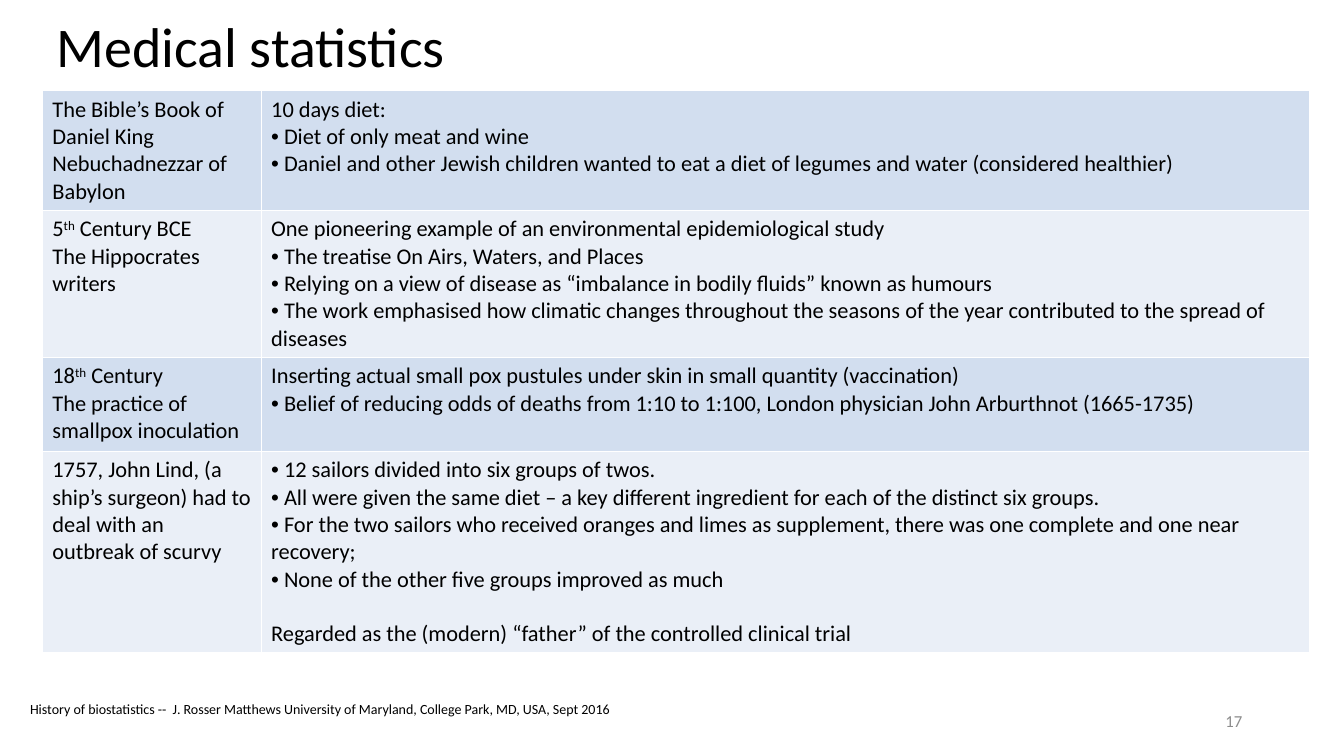
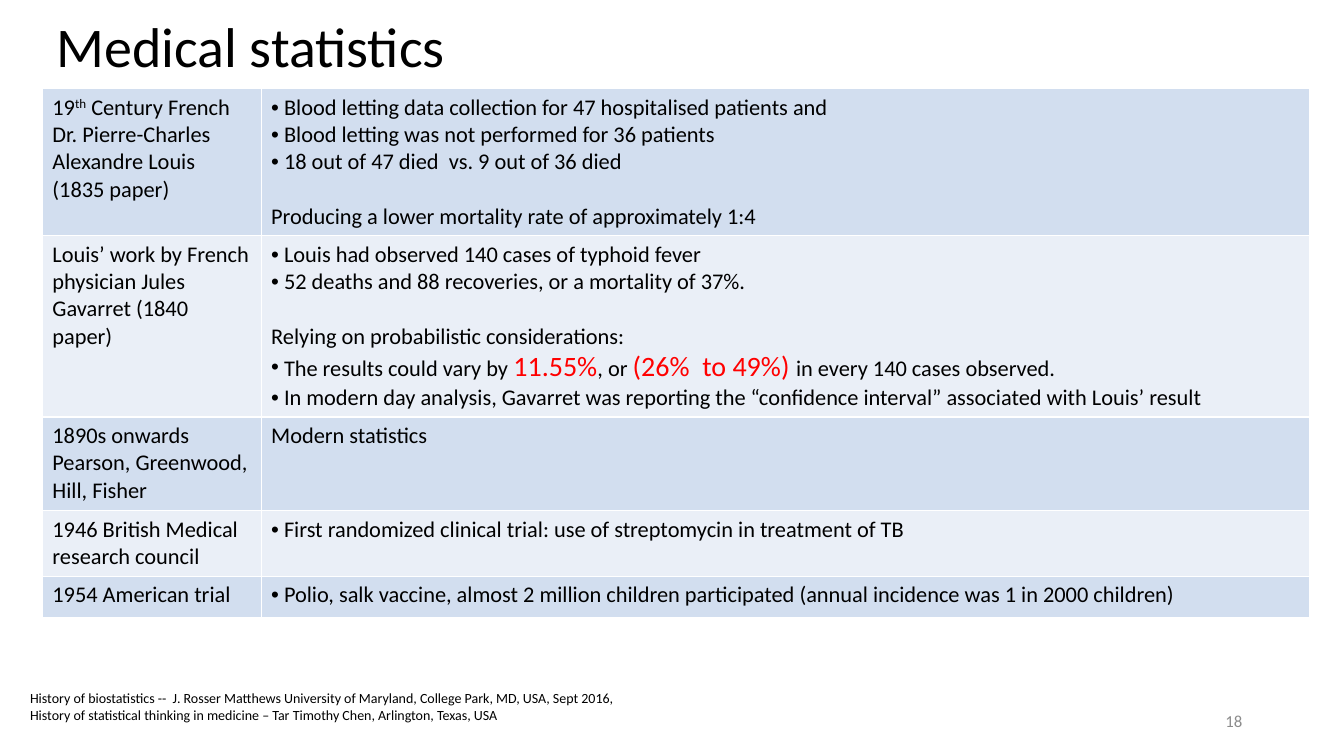
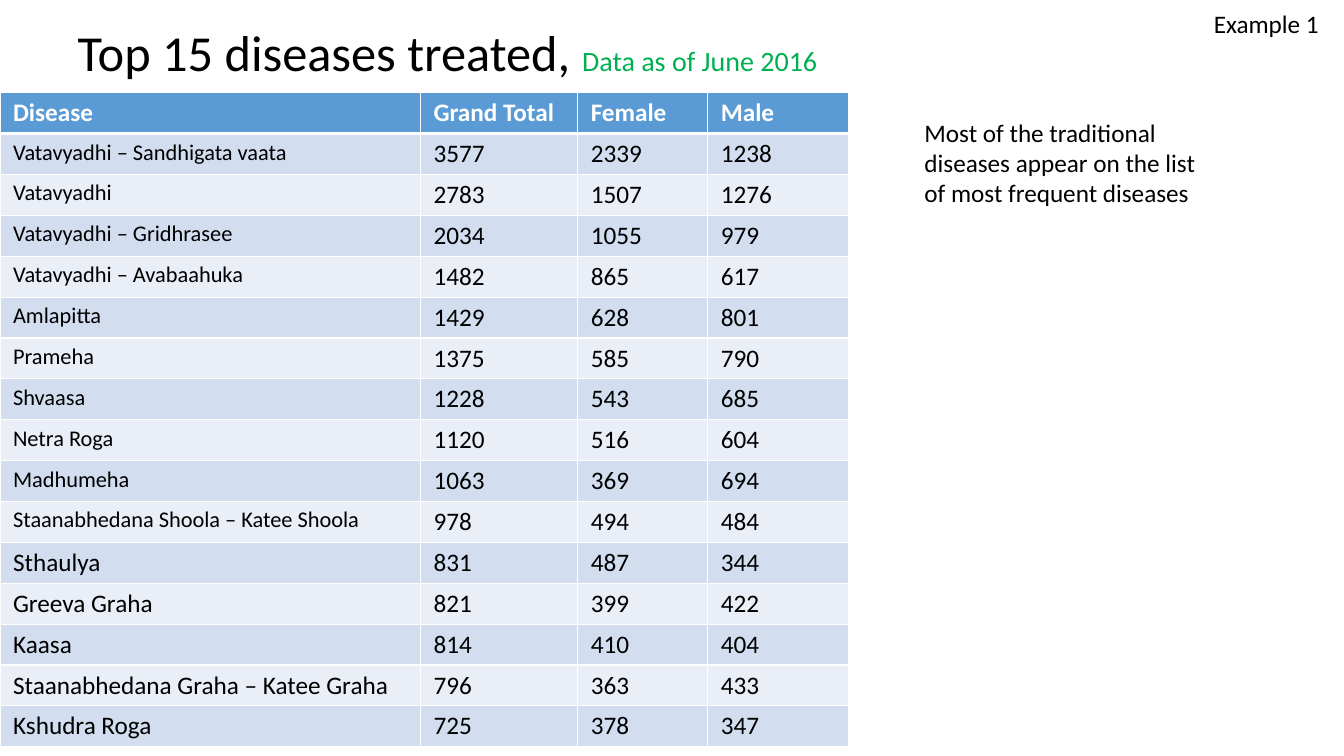
"""Build three slides on the history of medical statistics."""
from dataclasses import dataclass
from lxml.etree import SubElement
from pptx import Presentation
from pptx.dml.color import RGBColor
from pptx.enum.text import MSO_ANCHOR, MSO_AUTO_SIZE, PP_ALIGN
from pptx.oxml.ns import qn
from pptx.util import Emu, Pt


@dataclass(frozen=True)
class Theme:
    """Hold the colours, type sizes and font."""
    font: str = "Calibri"
    ink: str = "000000"
    white: str = "FFFFFF"
    head: str = "5B9BD5"
    bands: tuple = ("D2DEEF", "EAEFF7")
    gray: str = "8C8C8C"
    red: str = "FF0000"
    green: str = "00B050"
    title: int = 40
    data: int = 36
    large: int = 20
    body: int = 18
    cell: int = 16
    num: int = 12
    note: int = 10
    gap: float = 19.5
    thin: int = 1
    thick: int = 3


@dataclass(frozen=True)
class Bit:
    """Hold one run of text and what sets it apart."""
    text: str
    size: int = 0
    color: str = ""
    bold: bool = False
    sup: bool = False


@dataclass(frozen=True)
class Par:
    """Hold one paragraph as runs, with a bullet or a gap above."""
    bits: tuple
    dot: bool = False
    gap: bool = False


LOOK = Theme()
SCALE = 9144
TH = Bit("th", sup=True)
SOURCE = ("History of biostatistics --  J. Rosser Matthews University of Maryland, "
          "College Park, MD, USA, Sept 2016")


def px(count):
    """Turn pixels into EMU."""
    return Emu(count * SCALE)


def line(*bits):
    """Make a plain paragraph."""
    return Par(bits)


def dot(*bits):
    """Make a bullet paragraph."""
    return Par((" ",) + bits[:0] + (bits[0],) + bits[1:], dot=True) if isinstance(
        bits[0], Bit) else Par((" " + bits[0],) + bits[1:], dot=True)


def after(text):
    """Make a paragraph that stands one line below the last."""
    return Par((text,), gap=True)


def write(frame, pars, size, color=LOOK.ink, align=PP_ALIGN.LEFT):
    """Fill a text frame run by run."""
    for index, par in enumerate(pars):
        para = frame.paragraphs[0] if index == 0 else frame.add_paragraph()
        para.alignment = align
        if par.gap:
            para.space_before = Pt(LOOK.gap)
        if par.dot:
            props = para._p.get_or_add_pPr()
            props.set("marL", "0")
            props.set("indent", "0")
            SubElement(props, qn("a:buFont"), typeface="Arial")
            SubElement(props, qn("a:buChar"), char="•")
        for bit in par.bits:
            bit = Bit(bit) if isinstance(bit, str) else bit
            run = para.add_run()
            run.text = bit.text
            font = run.font
            font.name = LOOK.font
            font.size = Pt(bit.size or size)
            font.bold = bit.bold
            font.color.rgb = RGBColor.from_string(bit.color or color)
            if bit.sup:
                run._r.get_or_add_rPr().set("baseline", "30000")


def start(deck, par, box, size):
    """Add a slide with its title."""
    slide = deck.slides.add_slide(deck.slide_layouts[5])
    shape = slide.shapes.title
    shape.left, shape.top, shape.width, shape.height = map(px, box)
    frame = shape.text_frame
    frame.auto_size = MSO_AUTO_SIZE.NONE
    frame.vertical_anchor = MSO_ANCHOR.MIDDLE
    write(frame, [par], size)
    frame.paragraphs[0].line_spacing = 0.9
    return slide


def label(slide, pars, box, size):
    """Add a text box that fits its text."""
    frame = slide.shapes.add_textbox(*map(px, box)).text_frame
    frame.word_wrap = True
    frame.auto_size = MSO_AUTO_SIZE.SHAPE_TO_FIT_TEXT
    write(frame, pars, size)


def number(slide, text):
    """Add the page number."""
    frame = slide.shapes.add_textbox(*map(px, (942, 695, 300, 40))).text_frame
    frame.word_wrap = True
    frame.vertical_anchor = MSO_ANCHOR.MIDDLE
    write(frame, [line(text)], LOOK.num, LOOK.gray, PP_ALIGN.RIGHT)


def edge(cell, top, base):
    """Draw the white borders of a cell."""
    props = cell._tc.get_or_add_tcPr()
    sides = {"L": LOOK.thin, "R": LOOK.thin, "T": top, "B": base}
    for side, width in sides.items():
        rule = SubElement(props, qn(f"a:ln{side}"), w=str(Pt(width)))
        fill = SubElement(rule, qn("a:solidFill"))
        SubElement(fill, qn("a:srgbClr"), val=LOOK.white)


def grid(slide, rows, box, cols, size, high=(), inset=10, head=False):
    """Add a banded table, with a header row if asked."""
    table = slide.shapes.add_table(len(rows), len(cols), *map(px, box)).table
    table.first_row = head
    table.horz_banding = False
    for col, width in zip(table.columns, cols):
        col.width = px(width)
    for row, height in zip(table.rows, high):
        row.height = px(height)
    for index, row in enumerate(rows):
        crown = head and index == 0
        fill = LOOK.head if crown else LOOK.bands[(index - head) % 2]
        top = LOOK.thick if head and index == 1 else LOOK.thin
        base = LOOK.thick if crown else LOOK.thin
        for spot, pars in enumerate(row):
            cell = table.cell(index, spot)
            cell.margin_left = cell.margin_right = px(inset)
            edge(cell, top, base)
            cell.fill.solid()
            cell.fill.fore_color.rgb = RGBColor.from_string(fill)
            write(cell.text_frame, pars, size, LOOK.white if crown else LOOK.ink)


def era(deck, page, rows, top, high, notes, foot):
    """Add one slide of the history."""
    slide = start(deck, line("Medical statistics"), (46, -1, 1150, 99), LOOK.title)
    grid(slide, rows, (42, top, 1257, sum(high)), (217, 1040), LOOK.cell, high)
    number(slide, page)
    label(slide, notes, foot, LOOK.note)


def early(deck):
    """Add the history up to the scurvy trial."""
    rows = [
        ([line("The Bible’s Book of Daniel King Nebuchadnezzar of Babylon")],
         [line("10 days diet:"),
          dot("Diet of only meat and wine"),
          dot("Daniel and other Jewish children wanted to eat a diet of legumes "
              "and water (considered healthier)")]),
        ([line("5", TH, " Century BCE"), line("The Hippocrates writers")],
         [line("One pioneering example of an environmental epidemiological study"),
          dot("The treatise On Airs, Waters, and Places"),
          dot("Relying on a view of disease as “imbalance in bodily fluids” "
              "known as humours"),
          dot("The work emphasised how climatic changes throughout the seasons "
              "of the year contributed to the spread of diseases")]),
        ([line("18", TH, " Century"), line("The practice of smallpox inoculation")],
         [line("Inserting actual small pox pustules under skin in small quantity "
               "(vaccination)"),
          dot("Belief of reducing odds of deaths from 1:10 to 1:100, London "
              "physician John Arburthnot (1665-1735)")]),
        ([line("1757, John Lind, (a ship’s surgeon) had to deal with an outbreak "
               "of scurvy")],
         [dot("12 sailors divided into six groups of twos."),
          dot("All were given the same diet – a key different ingredient for each "
              "of the distinct six groups."),
          dot("For the two sailors who received oranges and limes as supplement, "
              "there was one complete and one near recovery;"),
          dot("None of the other five groups improved as much"),
          after("Regarded as the (modern) “father” of the controlled clinical trial")]),
    ]
    era(deck, "17", rows, 90, (118, 146, 93, 200), [line(SOURCE)], (20, 690, 854, 27))


def late(deck):
    """Add the history from the 19th century on."""
    rows = [
        ([line("19", TH, " Century French Dr. Pierre-Charles Alexandre Louis "
               "(1835 paper)")],
         [dot("Blood letting data collection for 47 hospitalised patients and"),
          dot("Blood letting was not performed for 36 patients"),
          dot("18 out of 47 died  vs. 9 out of 36 died"),
          after("Producing a lower mortality rate of approximately 1:4")]),
        ([line("Louis’ work by French physician Jules Gavarret (1840 paper)")],
         [dot("Louis had observed 140 cases of typhoid fever"),
          dot("52 deaths and 88 recoveries, or a mortality of 37%."),
          after("Relying on probabilistic considerations:"),
          dot("The results could vary by ", Bit("11.55%", LOOK.large, LOOK.red),
              ", or ", Bit("(26%  to 49%) ", LOOK.large, LOOK.red),
              "in every 140 cases observed."),
          dot("In modern day analysis, Gavarret was reporting the “confidence "
              "interval” associated with Louis’ result")]),
        ([line("1890s onwards"), line("Pearson, Greenwood, Hill, Fisher")],
         [line("Modern statistics")]),
        ([line("1946 British Medical research council")],
         [dot("First randomized clinical trial: use of streptomycin in treatment "
              "of TB")]),
        ([line("1954 American trial")],
         [dot("Polio, salk vaccine, almost 2 million children participated "
              "(annual incidence was 1 in 2000 children)")]),
    ]
    notes = [line(SOURCE + ","),
             line("History of statistical thinking in medicine – Tar Timothy Chen, "
                  "Arlington, Texas, USA")]
    era(deck, "18", rows, 88, (145, 180, 93, 65, 41), notes, (20, 679, 854, 44))


def cases(deck):
    """Add the table of the most treated diseases."""
    data = [
        ("Vatavyadhi – Sandhigata vaata", 3577, 2339, 1238),
        ("Vatavyadhi", 2783, 1507, 1276),
        ("Vatavyadhi – Gridhrasee", 2034, 1055, 979),
        ("Vatavyadhi – Avabaahuka", 1482, 865, 617),
        ("Amlapitta", 1429, 628, 801),
        ("Prameha", 1375, 585, 790),
        ("Shvaasa", 1228, 543, 685),
        ("Netra Roga", 1120, 516, 604),
        ("Madhumeha", 1063, 369, 694),
        ("Staanabhedana Shoola – Katee Shoola", 978, 494, 484),
        ("Sthaulya", 831, 487, 344),
        ("Greeva Graha", 821, 399, 422),
        ("Kaasa", 814, 410, 404),
        ("Staanabhedana Graha – Katee Graha", 796, 363, 433),
        ("Kshudra Roga", 725, 378, 347),
    ]
    heads = ("Disease", "Grand Total", "Female", "Male")
    rows = [[[line(Bit(text, bold=True))] for text in heads]]
    for rank, (name, *counts) in enumerate(data):
        size = LOOK.cell if rank < 10 else LOOK.body
        rows.append([[line(Bit(name, size))]] + [[line(str(count))] for count in counts])
    title = line("Top 15 diseases treated, ",
                 Bit("Data as of June 2016", LOOK.large, LOOK.green))
    slide = start(deck, title, (67, -8, 1200, 125), LOOK.data)
    grid(slide, rows, (0, 92, 841, 649), (417, 156, 129, 140), LOOK.body,
         inset=13, head=True)
    label(slide, [line("Example 1")], (1194, 3, 138, 40), LOOK.body)
    label(slide, [line("Most of the traditional diseases appear on the list of most "
                       "frequent diseases")], (907, 111, 311, 101), LOOK.body)


def main():
    """Build and save the deck."""
    deck = Presentation()
    deck.slide_width, deck.slide_height = px(1333), px(750)
    early(deck)
    late(deck)
    cases(deck)
    deck.save("out.pptx")


if __name__ == "__main__":
    main()
